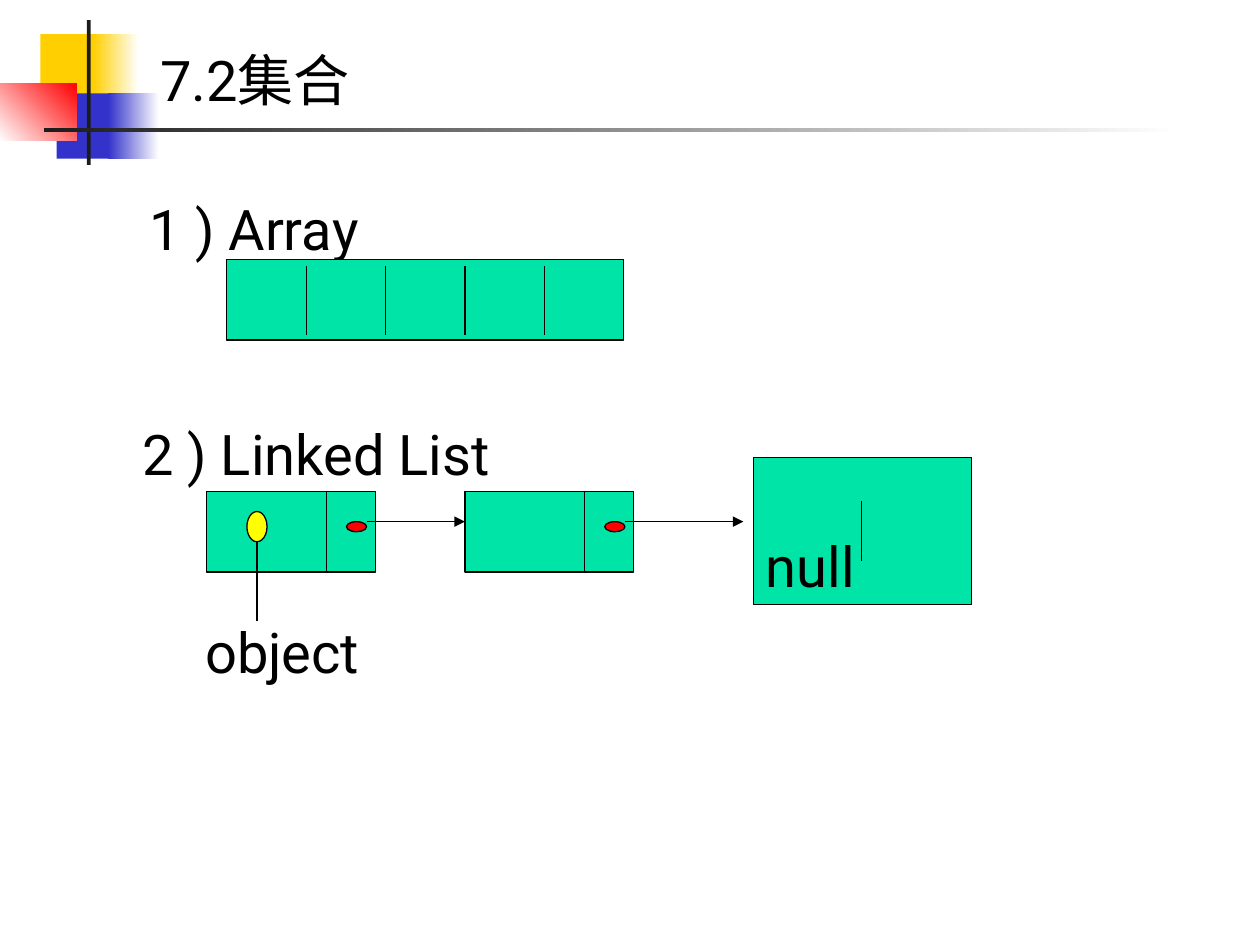
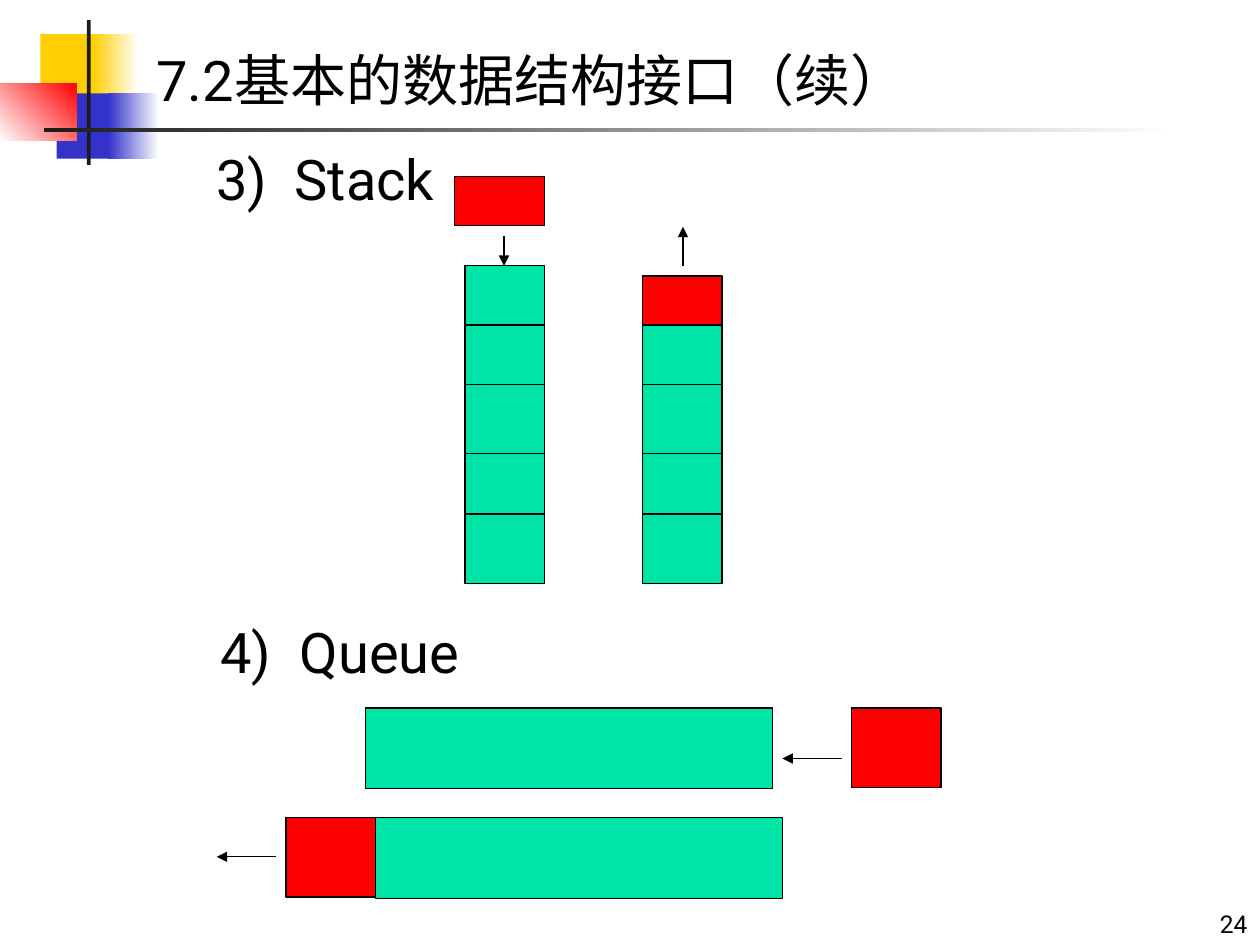
from dataclasses import dataclass
from itertools import accumulate

from lxml.etree import SubElement
from pptx import Presentation
from pptx.dml.color import RGBColor
from pptx.enum.shapes import MSO_CONNECTOR, MSO_SHAPE
from pptx.enum.text import MSO_ANCHOR, MSO_AUTO_SIZE, PP_ALIGN
from pptx.oxml.ns import qn
from pptx.util import Inches, Pt


@dataclass(frozen=True)
class Theme:
    font: str = "Roboto"
    text_size: int = 32
    number_size: int = 14
    line_width: float = 0.75
    black: str = "000000"
    white: str = "FFFFFF"
    dark: str = "1C1C1C"
    gold: str = "FFCF01"
    blue: str = "3333CC"
    red: str = "FF0000"
    green: str = "00E4A8"
    yellow: str = "FFFF00"


THEME = Theme()


# Basic parts
def rgb(code):
    return RGBColor.from_string(code)


def write(shape, text, size=THEME.text_size, anchor=MSO_ANCHOR.TOP,
          align=PP_ALIGN.LEFT, tab=None):
    frame = shape.text_frame
    frame.word_wrap = True
    frame.auto_size = MSO_AUTO_SIZE.NONE
    frame.vertical_anchor = anchor
    frame.margin_left = frame.margin_right = Inches(0.1)
    frame.margin_top = frame.margin_bottom = Inches(0.05)
    paragraph = frame.paragraphs[0]
    paragraph.alignment = align
    if tab:
        tabs = SubElement(paragraph._p.get_or_add_pPr(), qn("a:tabLst"))
        SubElement(tabs, qn("a:tab"), pos=str(Inches(tab)), algn="l")
    run = paragraph.add_run()
    run.text = text
    run.font.name = THEME.font
    run.font.size = Pt(size)
    run.font.color.rgb = rgb(THEME.black)


def add_label(slide, text, left, top, width, height=0.64, **style):
    box = slide.shapes.add_textbox(*map(Inches, (left, top, width, height)))
    write(box, text, **style)


def add_block(slide, left, top, width, height, color, kind=MSO_SHAPE.RECTANGLE):
    shape = slide.shapes.add_shape(kind, *map(Inches, (left, top, width, height)))
    shape.shadow.inherit = False
    shape.fill.solid()
    shape.fill.fore_color.rgb = rgb(color)
    shape.line.color.rgb = rgb(THEME.black)
    shape.line.width = Pt(THEME.line_width)
    return shape


def add_line(slide, x1, y1, x2, y2, arrow=False):
    line = slide.shapes.add_connector(
        MSO_CONNECTOR.STRAIGHT, *map(Inches, (x1, y1, x2, y2)))
    line.line.color.rgb = rgb(THEME.black)
    line.line.width = Pt(THEME.line_width)
    if arrow:
        SubElement(line.line._get_or_add_ln(), qn("a:tailEnd"), type="triangle")
    SubElement(line.element.spPr, qn("a:effectLst"))


# Shared slide parts
def decorate_master(presentation, slide):
    """Draw the corner squares and rules, then move them to the master."""
    bands = [
        ((0.32, 0.27, 0.48, 0.52), [THEME.gold], 0),
        ((0.74, 0.27, 0.36, 0.52), [THEME.gold, THEME.white], 0),
        ((0.45, 0.74, 0.46, 0.52), [THEME.blue], 0),
        ((0.86, 0.74, 0.4, 0.52), [THEME.blue, THEME.white], 0),
        ((0, 0.66, 0.61, 0.46), [THEME.white, THEME.red], 45),
        ((0.69, 0.16, 0.03, 1.15), [THEME.dark], 0),
        ((0.35, 1.02, 9, 0.03), [THEME.dark, THEME.white], 0),
    ]
    master_tree = presentation.slide_master.element.cSld.spTree
    for number, (box, colors, angle) in enumerate(bands, start=101):
        shape = add_block(slide, *box, colors[0])
        shape.line.fill.background()
        if len(colors) > 1:
            shape.fill.gradient()
            shape.fill.gradient_angle = angle
            for stop, color in zip(shape.fill.gradient_stops, colors):
                stop.color.rgb = rgb(color)
        shape.element.nvSpPr.cNvPr.set("id", str(number))
        master_tree.append(shape.element)


def add_titled_slide(presentation, text, left):
    slide = presentation.slides.add_slide(presentation.slide_layouts[5])
    title = slide.shapes.title
    title.left, title.top = Inches(left), Inches(0.31)
    title.width, title.height = Inches(7.5), Inches(0.64)
    write(title, text)
    return slide


# Slide 1 regions
def draw_array(slide, left, top, width=3.15, height=0.64, cells=5):
    add_label(slide, "1 ) Array", left - 0.71, top - 0.57, 1.95,
              anchor=MSO_ANCHOR.MIDDLE)
    add_block(slide, left, top, width, height, THEME.green)
    for index in range(1, cells):
        x = left + index * width / cells
        add_line(slide, x, top + 0.05, x, top + height - 0.04)


def draw_node(slide, left, top, arrow_length):
    """A list cell with a value part and a pointer part."""
    add_block(slide, left, top, 1.34, 0.64, THEME.green)
    add_line(slide, left + 0.95, top, left + 0.95, top + 0.64)
    add_block(slide, left + 1.11, top + 0.24, 0.16, 0.08, THEME.red, MSO_SHAPE.OVAL)
    start = left + 1.27
    add_line(slide, start, top + 0.24, start + arrow_length, top + 0.24, arrow=True)


def draw_linked_list(slide, left, top):
    add_label(slide, "2 ) Linked List", left - 0.61, top - 0.62, 3.39,
              anchor=MSO_ANCHOR.MIDDLE)
    draw_node(slide, left, top, 0.78)
    draw_node(slide, left + 2.05, top, 0.94)
    # End of the list
    end = add_block(slide, left + 4.34, top - 0.27, 1.73, 1.17, THEME.green)
    write(end, "null", anchor=MSO_ANCHOR.BOTTOM)
    add_line(slide, left + 5.2, top + 0.08, left + 5.2, top + 0.55)
    # Object held by the first node
    add_block(slide, left + 0.32, top + 0.16, 0.16, 0.24, THEME.yellow, MSO_SHAPE.OVAL)
    add_line(slide, left + 0.4, top + 0.4, left + 0.4, top + 1.03)
    add_label(slide, "object", left - 0.11, top + 0.95, 1.48)


# Slide 2 regions
def draw_column(slide, left, top, cell_heights, width=0.63):
    add_block(slide, left, top, width, sum(cell_heights), THEME.green)
    for offset in accumulate(cell_heights[:-1]):
        add_line(slide, left, top + offset, left + width, top + offset)


def draw_stack(slide, left, top):
    cell_heights = [0.47, 0.47, 0.55, 0.48, 0.55]
    add_label(slide, "3)\tStack", left - 2.07, top - 1.02, 2.27,
              anchor=MSO_ANCHOR.MIDDLE, tab=0.62)
    # Push
    draw_column(slide, left, top, cell_heights)
    add_block(slide, left - 0.08, top - 0.71, 0.71, 0.39, THEME.red)
    add_line(slide, left + 0.31, top - 0.24, left + 0.31, top, arrow=True)
    # Pop
    pop_left = left + 1.41
    draw_column(slide, pop_left, top + cell_heights[0], cell_heights[1:])
    add_block(slide, pop_left, top + 0.08, 0.63, 0.39, THEME.red)
    add_line(slide, pop_left + 0.32, top, pop_left + 0.32, top - 0.31, arrow=True)


def draw_queue_row(slide, bar_left, item_left, top, arrow_start, arrow_y):
    add_block(slide, bar_left, top, 3.23, 0.64, THEME.green)
    add_block(slide, item_left, top, 0.71, 0.63, THEME.red)
    add_line(slide, arrow_start, arrow_y, arrow_start - 0.47, arrow_y, arrow=True)


def draw_queue(slide, left, top):
    add_label(slide, "4)\tQueue", left - 1.25, top - 0.77, 2.45,
              anchor=MSO_ANCHOR.MIDDLE, tab=0.63)
    # Enter at the right, leave at the left
    draw_queue_row(slide, left, left + 3.86, top, left + 3.78, top + 0.4)
    draw_queue_row(slide, left + 0.08, left - 0.63, top + 0.87, left - 0.71, top + 1.18)


def main():
    presentation = Presentation()
    presentation.slide_width, presentation.slide_height = Inches(10), Inches(7.5)

    lists_slide = add_titled_slide(presentation, "7.2集合", 1.17)
    decorate_master(presentation, lists_slide)
    draw_linked_list(lists_slide, 1.64, 3.9)
    draw_array(lists_slide, 1.8, 2.06)

    queues_slide = add_titled_slide(presentation, "7.2基本的数据结构接口（续）", 1.14)
    draw_stack(queues_slide, 3.69, 2.11)
    draw_queue(queues_slide, 2.9, 5.62)
    add_label(queues_slide, "24", 7.92, 7, 2.08, 0.5, size=THEME.number_size,
              anchor=MSO_ANCHOR.BOTTOM, align=PP_ALIGN.RIGHT)

    presentation.save("out.pptx")


if __name__ == "__main__":
    main()
